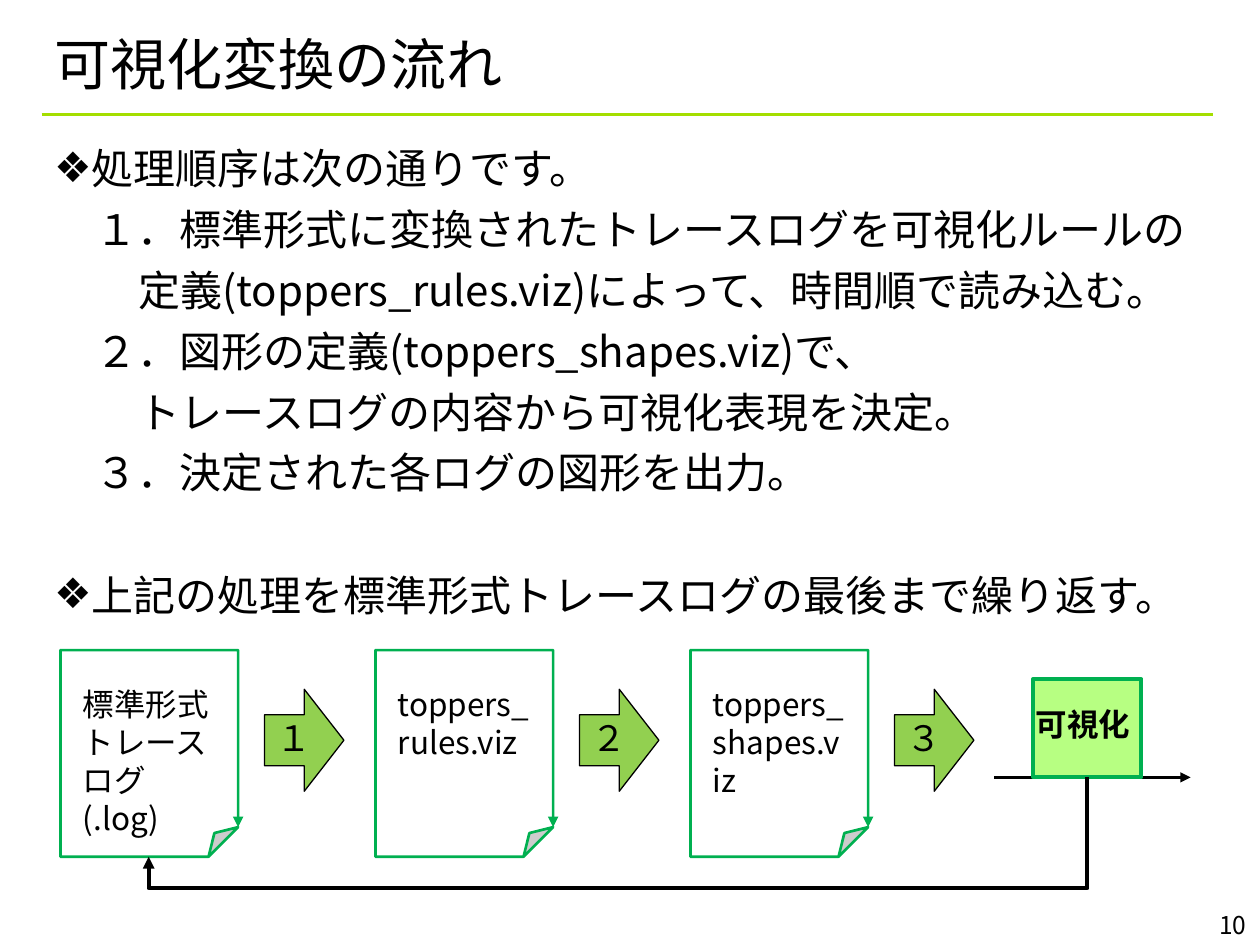
import pptx
import pptx.util
import pptx.dml.color
import pptx.enum.shapes
import pptx.enum.text
import pptx.oxml.ns
from lxml import etree

Inches, Pt = pptx.util.Inches, pptx.util.Pt
Shapes = pptx.enum.shapes.MSO_SHAPE
Connectors = pptx.enum.shapes.MSO_CONNECTOR
Align = pptx.enum.text.PP_ALIGN
Anchor = pptx.enum.text.MSO_ANCHOR
qn = pptx.oxml.ns.qn

COLORS = {"text": "000000", "rule": "A4DE00", "paper": "FFFFFF",
          "outline": "00B050", "arrow": "92D050", "result": "6EFF01"}
FONT = "Noto Sans CJK JP"
DIGIT_FONT = "Times New Roman"

# text, left margin, hanging indent (inches), space before (points), bulleted
BODY = [
    ("処理順序は次の通りです。", 0.2, -0.2, 0, True),
    ("１．標準形式に変換されたトレースログを可視化ルールの", 0.33, 0, 6, False),
    ("定義(toppers_rules.viz)によって、時間順で読み込む。", 0.67, 0, 6, False),
    ("２．図形の定義(toppers_shapes.viz)で、", 0.33, 0, 6, False),
    ("トレースログの内容から可視化表現を決定。", 0.67, 0, 6, False),
    ("３．決定された各ログの図形を出力。", 0.33, 0, 6, False),
    ("上記の処理を標準形式トレースログの最後まで繰り返す。", 0.2, -0.2, 41, True),
]
STEPS = [("標準形式トレースログ(.log)", "１"),
         ("toppers_rules.viz", "２"),
         ("toppers_shapes.viz", "３")]


def color(name):
    return pptx.dml.color.RGBColor.from_string(COLORS[name])


def add_element(parent, tag, **attributes):
    return etree.SubElement(parent, qn(tag), attributes)


def place(shape, left, top, width, height):
    shape.left, shape.top = Inches(left), Inches(top)
    shape.width, shape.height = Inches(width), Inches(height)


def style_font(paragraph, size, name=FONT, bold=False):
    font = paragraph.font
    font.size, font.name, font.bold = Pt(size), name, bold
    font.color.rgb = color("text")
    properties = paragraph._p.pPr.find(qn("a:defRPr"))
    properties.find(qn("a:latin")).addnext(
        properties.makeelement(qn("a:ea"), {"typeface": FONT}))


def add_arrowhead(shape):
    line = shape.line._get_or_add_ln()
    add_element(line, "a:tailEnd", type="triangle")


def add_label(slide, text, left, top, width, height, size=18, bold=False,
              alignment=Align.LEFT):
    box = slide.shapes.add_textbox(Inches(left), Inches(top), Inches(width), Inches(height))
    box.text_frame.word_wrap = True
    paragraph = box.text_frame.paragraphs[0]
    paragraph.text = text
    paragraph.alignment = alignment
    style_font(paragraph, size, bold=bold)


def add_block(slide, kind, left, top, width, height, fill, line, line_width):
    shape = slide.shapes.add_shape(kind, Inches(left), Inches(top),
                                   Inches(width), Inches(height))
    shape.shadow.inherit = False
    shape.fill.solid()
    shape.fill.fore_color.rgb = color(fill)
    shape.line.color.rgb = color(line)
    shape.line.width = Pt(line_width)
    return shape


def add_line(slide, start, end, line, width, kind=Connectors.STRAIGHT):
    connector = slide.shapes.add_connector(kind, *map(Inches, start + end))
    connector.line.color.rgb = color(line)
    connector.line.width = Pt(width)
    add_element(connector._element.spPr, "a:effectLst")
    return connector


def add_return_path(slide, start, end, drop):
    """Bent arrow that goes down by drop from start, then back and up to end."""
    width, height = end[1] - start[1], start[0] - end[0]
    left = (start[0] + end[0] - width) / 2
    top = (start[1] + end[1] - height) / 2
    connector = add_line(slide, (left, top), (left + width, top + height),
                         "text", 2.25, Connectors.ELBOW)
    properties = connector._element.spPr
    properties.find(qn("a:xfrm")).set("rot", "5400000")
    guides = properties.find(qn("a:prstGeom")).find(qn("a:avLst"))
    add_element(guides, "a:gd", name="adj1", fmla=f"val {round(drop / width * 100000)}")
    add_arrowhead_before_effects(connector)


def add_arrowhead_before_effects(connector):
    add_arrowhead(connector)


def add_title(slide, left, top, width, height):
    title = slide.shapes.title
    place(title, left, top, width, height)
    title.text_frame.vertical_anchor = Anchor.MIDDLE
    title.text_frame.auto_size = pptx.enum.text.MSO_AUTO_SIZE.NONE
    paragraph = title.text_frame.paragraphs[0]
    paragraph.text = "可視化変換の流れ"
    paragraph.alignment = Align.LEFT
    style_font(paragraph, 32)
    add_line(slide, (left, 0.91), (9.63, 0.91), "rule", 1.5)


def add_body(slide, left, top, width, height):
    body = slide.placeholders[1]
    place(body, left, top, width, height)
    frame = body.text_frame
    frame.auto_size = pptx.enum.text.MSO_AUTO_SIZE.NONE
    for index, (text, margin, indent, space, bulleted) in enumerate(BODY):
        paragraph = frame.add_paragraph() if index else frame.paragraphs[0]
        paragraph.text = text
        properties = paragraph._p.get_or_add_pPr()
        properties.set("marL", str(Inches(margin)))
        properties.set("indent", str(Inches(indent)))
        if bulleted:
            bullet_color = add_element(properties, "a:buClr")
            add_element(bullet_color, "a:srgbClr", val=COLORS["text"])
            add_element(properties, "a:buChar", char="❖")
        else:
            add_element(properties, "a:buNone")
        paragraph.space_before = Pt(space)
        style_font(paragraph, 24)


def add_step(slide, file_name, digit, left, top):
    page = add_block(slide, Shapes.FOLDED_CORNER, left, top, 1.41, 1.64,
                     "paper", "outline", 1.5)
    add_arrowhead(page)
    add_label(slide, file_name, left + 0.08, top + 0.23, 1.25, 1.3)
    arrow = add_block(slide, Shapes.RIGHT_ARROW, left + 1.62, top + 0.31, 0.63, 0.81,
                      "arrow", "text", 0.75)
    arrow.text_frame.word_wrap = False
    paragraph = arrow.text_frame.paragraphs[0]
    paragraph.text = digit
    paragraph.alignment = Align.LEFT
    paragraph.line_spacing = 0.9
    style_font(paragraph, 20, DIGIT_FONT)


def add_result(slide, left, top, width, height):
    baseline = top + height
    axis = add_line(slide, (left - 0.31, baseline), (left + 1.25, baseline), "text", 1.5)
    add_arrowhead(axis)
    box = add_block(slide, Shapes.RECTANGLE, left, top, width, height,
                    "result", "outline", 2.25)
    fill = box._element.spPr.find(qn("a:solidFill"))
    add_element(fill[0], "a:alpha", val="49000")
    add_label(slide, "可視化", left - 0.08, top + 0.16, width + 0.16, 0.4, bold=True)


def add_flow(slide, left, top, pitch):
    for index, (file_name, digit) in enumerate(STEPS):
        add_step(slide, file_name, digit, left + index * pitch, top)
    add_result(slide, left + 7.72, top + 0.23, 0.86, 0.78)
    add_return_path(slide, (left + 8.15, top + 1.01), (left + 0.7, top + 1.64), 0.88)


def main():
    presentation = pptx.Presentation()
    presentation.slide_width, presentation.slide_height = Inches(10), Inches(7.5)
    slide = presentation.slides.add_slide(presentation.slide_layouts[1])
    add_title(slide, 0.33, 0.25, 9.25, 0.5)
    add_body(slide, 0.33, 1.08, 9.25, 6)
    add_label(slide, "10", 9.08, 7.17, 0.91, 0.33, size=14, alignment=Align.RIGHT)
    add_flow(slide, 0.48, 5.16, 2.5)
    presentation.save("out.pptx")


if __name__ == "__main__":
    main()
